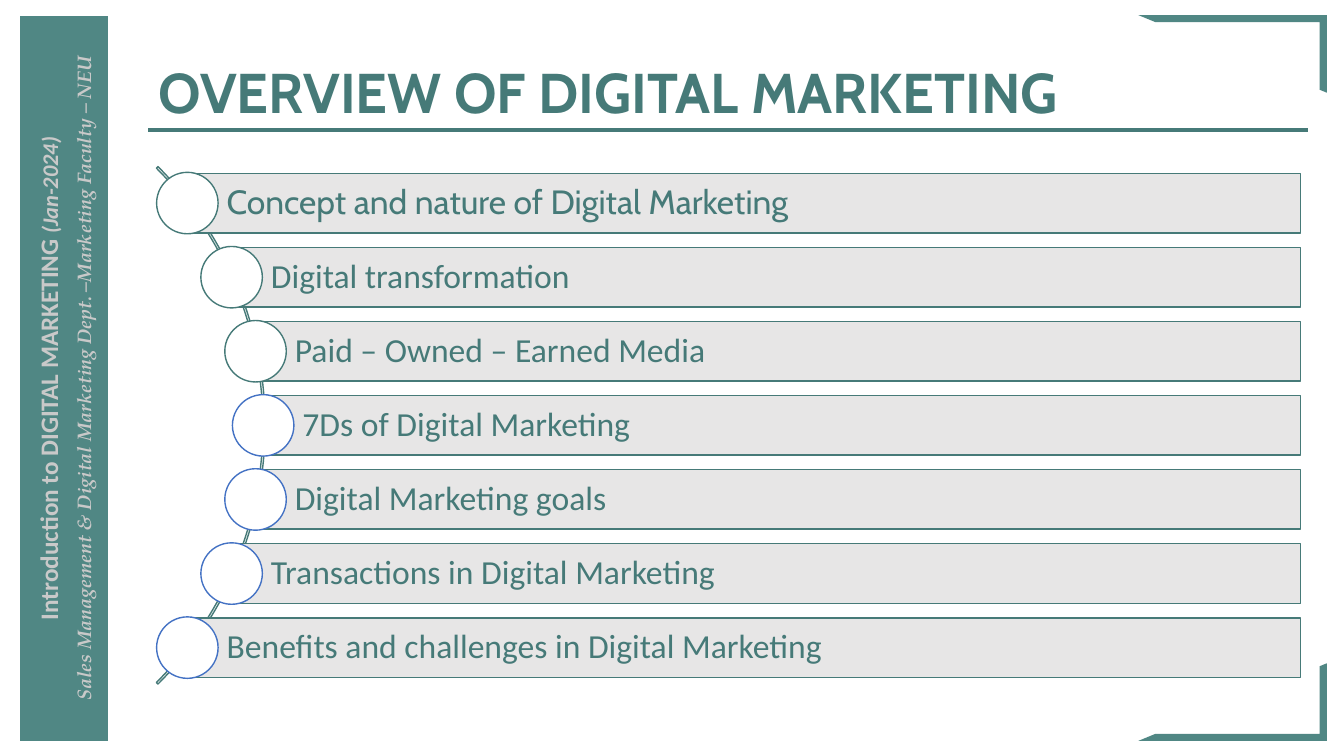
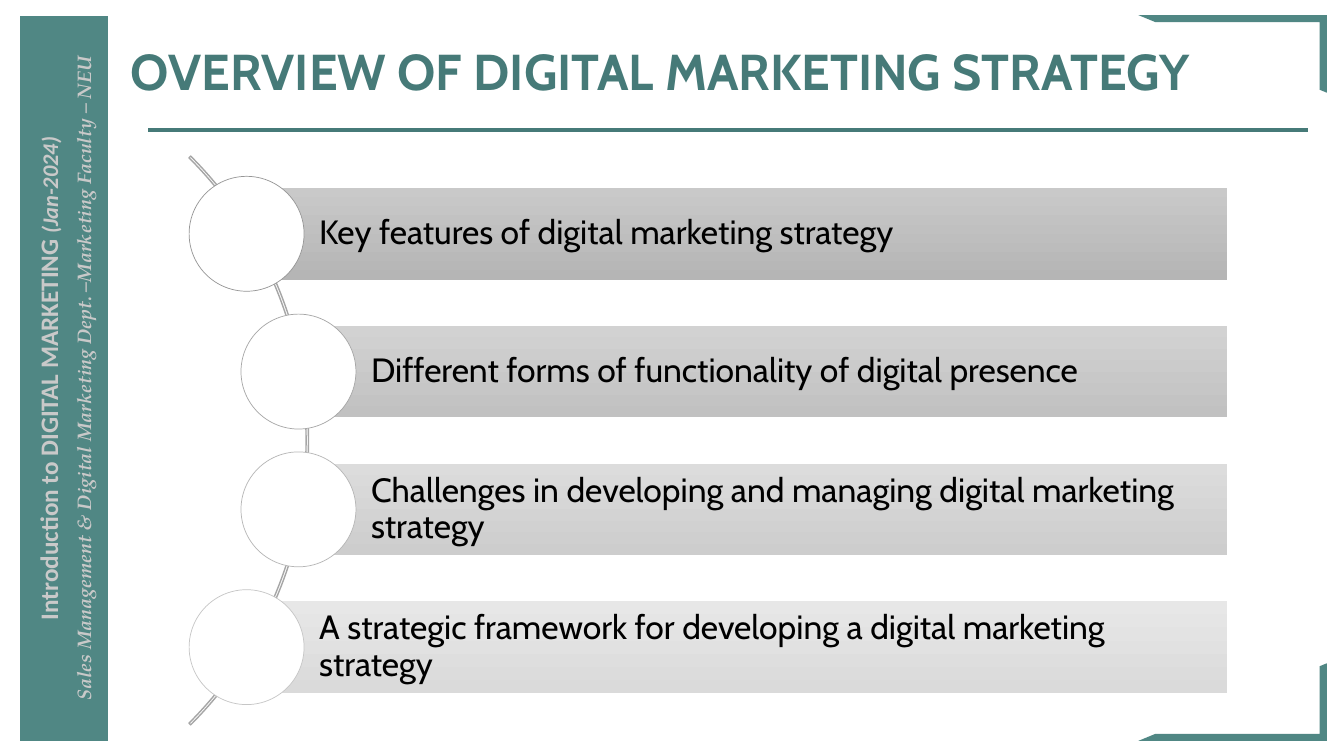
import math

import pptx
import pptx.dml.color
import pptx.enum.shapes
import pptx.enum.text
import pptx.util
import lxml.etree

Inches = pptx.util.Inches
Shape = pptx.enum.shapes.MSO_SHAPE

COLORS = {
    "band": "508784",
    "band_text": "C9C9C9",
    "accent": "467A78",
    "bar": "E7E6E6",
    "white": "FFFFFF",
    "black": "000000",
    "blue": "4472C4",
    "arc_gray": "A6A6A6",
}
HEADING_FONT, BODY_FONT, SERIF_FONT = "Cabin", "Calibri", "TeX Gyre Pagella"

# Each bar: text, font, fill (one colour or gradient ends), circle outline
AGENDAS = [
    {
        "title": "OVERVIEW OF DIGITAL MARKETING",
        "title_box": (1.47, 0.37, 11.5, 1.15),
        "title_size": 40,
        "arc_center": (-1, 4.22), "arc_radius": 3.63, "bar_radius": 3.61,
        "arc_line": COLORS["accent"], "bar_line": COLORS["accent"],
        "circle_line_width": 1, "text_color": COLORS["accent"],
        "pitch": 0.735, "bar_height": 0.59, "bar_right": 12.9,
        "circle_size": 0.61, "text_inset": 0.39,
        "bars": [
            ("Concept and nature of Digital Marketing", HEADING_FONT, [COLORS["bar"]], COLORS["accent"]),
            ("Digital transformation", BODY_FONT, [COLORS["bar"]], COLORS["accent"]),
            ("Paid – Owned – Earned Media", BODY_FONT, [COLORS["bar"]], COLORS["accent"]),
            ("7Ds of Digital Marketing", BODY_FONT, [COLORS["bar"]], COLORS["blue"]),
            ("Digital Marketing goals", BODY_FONT, [COLORS["bar"]], COLORS["blue"]),
            ("Transactions in Digital Marketing", BODY_FONT, [COLORS["bar"]], COLORS["blue"]),
            ("Benefits and challenges in Digital Marketing", BODY_FONT, [COLORS["bar"]], COLORS["blue"]),
        ],
    },
    {
        "title": "OVERVIEW OF DIGITAL MARKETING STRATEGY",
        "title_box": (1.2, 0.17, 11.64, 1.13),
        "title_size": 36,
        "arc_center": (-0.93, 4.37), "arc_radius": 3.99, "bar_radius": 3.95,
        "arc_line": COLORS["arc_gray"], "bar_line": None,
        "circle_line_width": 0.5, "text_color": COLORS["black"],
        "pitch": 1.367, "bar_height": 0.91, "bar_right": 12.17,
        "circle_size": 1.14, "text_inset": 0.72,
        "bars": [
            ("Key features of digital marketing strategy", HEADING_FONT, ["C9C9C9", "B5B5B5"], "969696"),
            ("Different forms of functionality of digital presence", HEADING_FONT, ["D2D2D2", "C1C1C1"], "A6A6A6"),
            ("Challenges in developing and managing digital marketing strategy", HEADING_FONT,
             ["DCDCDC", "CDCDCD"], "B6B6B6"),
            ("A strategic framework for developing a digital marketing strategy", HEADING_FONT,
             ["E7E7E7", "DADADA"], "C6C6C6"),
        ],
    },
]


def add_shape(slide, kind, box, fills=(), line=None, line_width=1):
    """Add a shadowless shape with no fill, one fill colour or a vertical gradient."""
    shape = slide.shapes.add_shape(kind, *[Inches(value) for value in box])
    shape.shadow.inherit = False
    if len(fills) == 2:
        shape.fill.gradient()
        shape.fill.gradient_angle = 270
        for stop, color in zip(shape.fill.gradient_stops, fills):
            stop.color.rgb = pptx.dml.color.RGBColor.from_string(color)
            stop.position = fills.index(color)
    elif fills:
        shape.fill.solid()
        shape.fill.fore_color.rgb = pptx.dml.color.RGBColor.from_string(fills[0])
    else:
        shape.fill.background()
    if line:
        shape.line.color.rgb = pptx.dml.color.RGBColor.from_string(line)
        shape.line.width = pptx.util.Pt(line_width)
    else:
        shape.line.fill.background()
    return shape


def add_run(paragraph, text, font_name, size, color, bold=False, italic=False):
    run = paragraph.add_run()
    run.text = text
    run.font.name = font_name
    run.font.size = pptx.util.Pt(size)
    run.font.bold = bold
    run.font.italic = italic
    run.font.color.rgb = pptx.dml.color.RGBColor.from_string(color)


presentation = pptx.Presentation()
presentation.slide_width = Inches(13.33)
presentation.slide_height = Inches(7.5)

for agenda in AGENDAS:
    slide = presentation.slides.add_slide(presentation.slide_layouts[6])

    # Side band with rotated course text
    band = add_shape(slide, Shape.RECTANGLE, (0.2, 0.16, 0.87, 7.19), [COLORS["band"]])
    frame = band.text_frame
    frame.word_wrap = True
    frame.vertical_anchor = pptx.enum.text.MSO_ANCHOR.MIDDLE
    frame._txBody.bodyPr.set("vert", "vert270")
    course, department = frame.paragraphs[0], frame.add_paragraph()
    course.alignment = department.alignment = pptx.enum.text.PP_ALIGN.CENTER
    department.space_before = pptx.util.Pt(6)
    add_run(course, "Introduction to DIGITAL MARKETING ", BODY_FONT, 18, COLORS["band_text"], True)
    add_run(course, "(Jan-2024)", BODY_FONT, 16, COLORS["band_text"], True, True)
    add_run(department, "Sales Management & Digital Marketing Dept. –Marketing Faculty – NEU",
            SERIF_FONT, 14, COLORS["band_text"], True, True)

    # Corner frames on the right
    for top, is_bottom in ((6.58, True), (0.15, False)):
        corner = add_shape(slide, Shape.HALF_FRAME, (11.29, top, 1.87, 0.77), [COLORS["band"]])
        corner.adjustments[0], corner.adjustments[1] = 0.09, 0.093
        if is_bottom:
            corner.rotation = 180
        else:
            corner._element.spPr.xfrm.set("flipH", "1")

    # Rule under the title
    rule = slide.shapes.add_connector(pptx.enum.shapes.MSO_CONNECTOR.STRAIGHT,
                                      Inches(1.47), Inches(1.29), Inches(12.97), Inches(1.29))
    rule.line.color.rgb = pptx.dml.color.RGBColor.from_string(COLORS["accent"])
    rule.line.width = pptx.util.Pt(2.25)
    lxml.etree.SubElement(rule._element.spPr, pptx.oxml.ns.qn("a:effectLst"))

    # Title
    title = slide.shapes.add_textbox(*[Inches(value) for value in agenda["title_box"]])
    title.text_frame.word_wrap = True
    title.text_frame.vertical_anchor = pptx.enum.text.MSO_ANCHOR.MIDDLE
    paragraph = title.text_frame.paragraphs[0]
    paragraph.line_spacing = 0.9
    add_run(paragraph, agenda["title"], HEADING_FONT, agenda["title_size"], COLORS["accent"], True)

    # Arc behind the circles
    center_x, center_y = agenda["arc_center"]
    radius = agenda["arc_radius"]
    arc = add_shape(slide, Shape.BLOCK_ARC, (center_x - radius, center_y - radius, 2 * radius, 2 * radius),
                    line=agenda["arc_line"])
    for index, value in enumerate((189, 27, 0.003)):
        arc.adjustments[index] = value

    # Bars start on the arc, each with a circle centred on its left edge
    height, size = agenda["bar_height"], agenda["circle_size"]
    for index, (text, font_name, fills, circle_line) in enumerate(agenda["bars"]):
        offset = (index - (len(agenda["bars"]) - 1) / 2) * agenda["pitch"]
        left = center_x + math.sqrt(agenda["bar_radius"] ** 2 - offset ** 2)
        middle = center_y + offset
        bar = add_shape(slide, Shape.RECTANGLE,
                        (left, middle - height / 2, agenda["bar_right"] - left, height),
                        fills, agenda["bar_line"])
        frame = bar.text_frame
        frame.word_wrap = True
        frame.vertical_anchor = pptx.enum.text.MSO_ANCHOR.MIDDLE
        frame.margin_left = Inches(agenda["text_inset"])
        frame.margin_top = frame.margin_right = frame.margin_bottom = Inches(0.07)
        paragraph = frame.paragraphs[0]
        paragraph.alignment = pptx.enum.text.PP_ALIGN.LEFT
        paragraph.line_spacing = 0.9
        add_run(paragraph, text, font_name, 24, agenda["text_color"])
        add_shape(slide, Shape.OVAL, (left - size / 2, middle - size / 2, size, size),
                  [COLORS["white"]], circle_line, agenda["circle_line_width"])

presentation.save("out.pptx")
